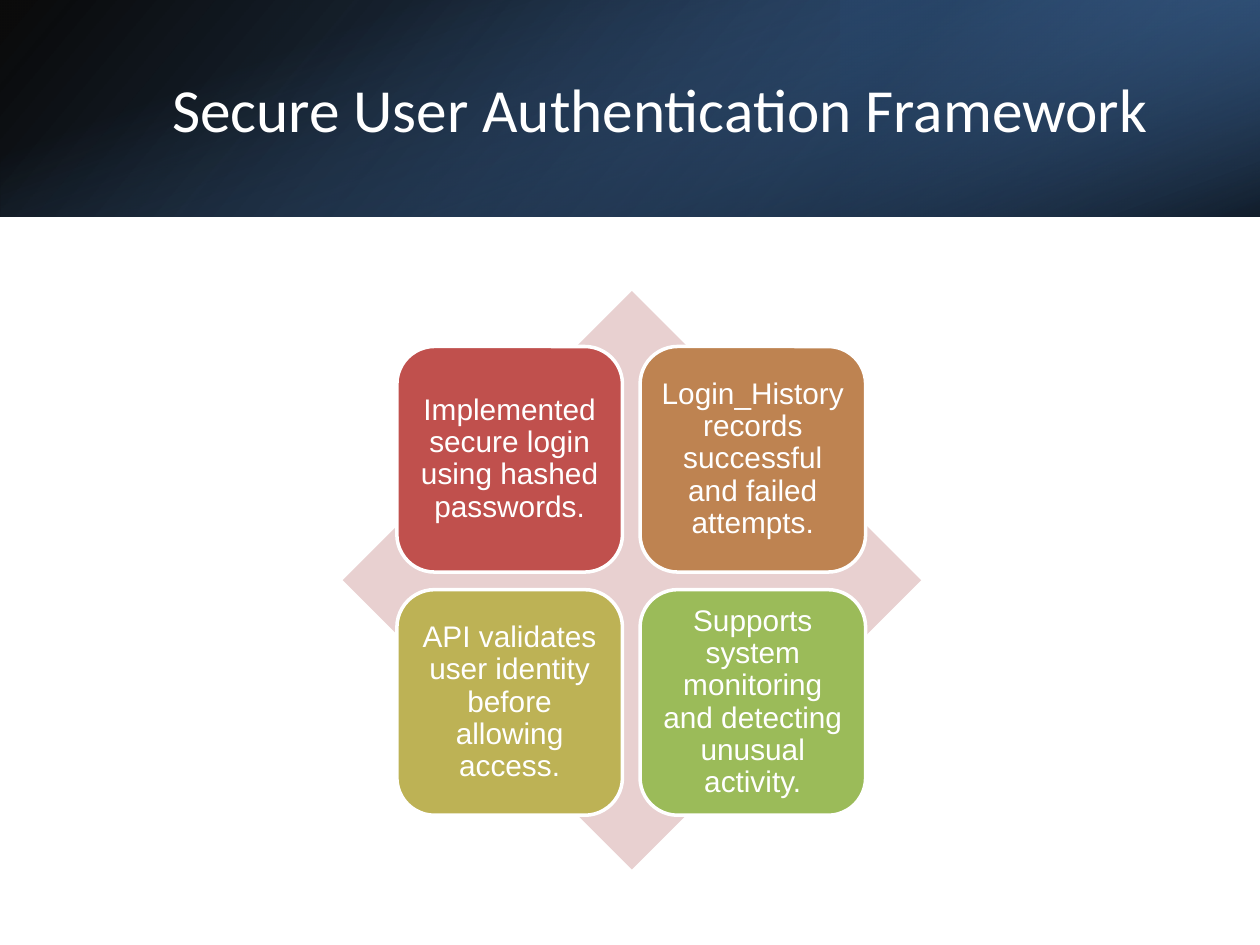
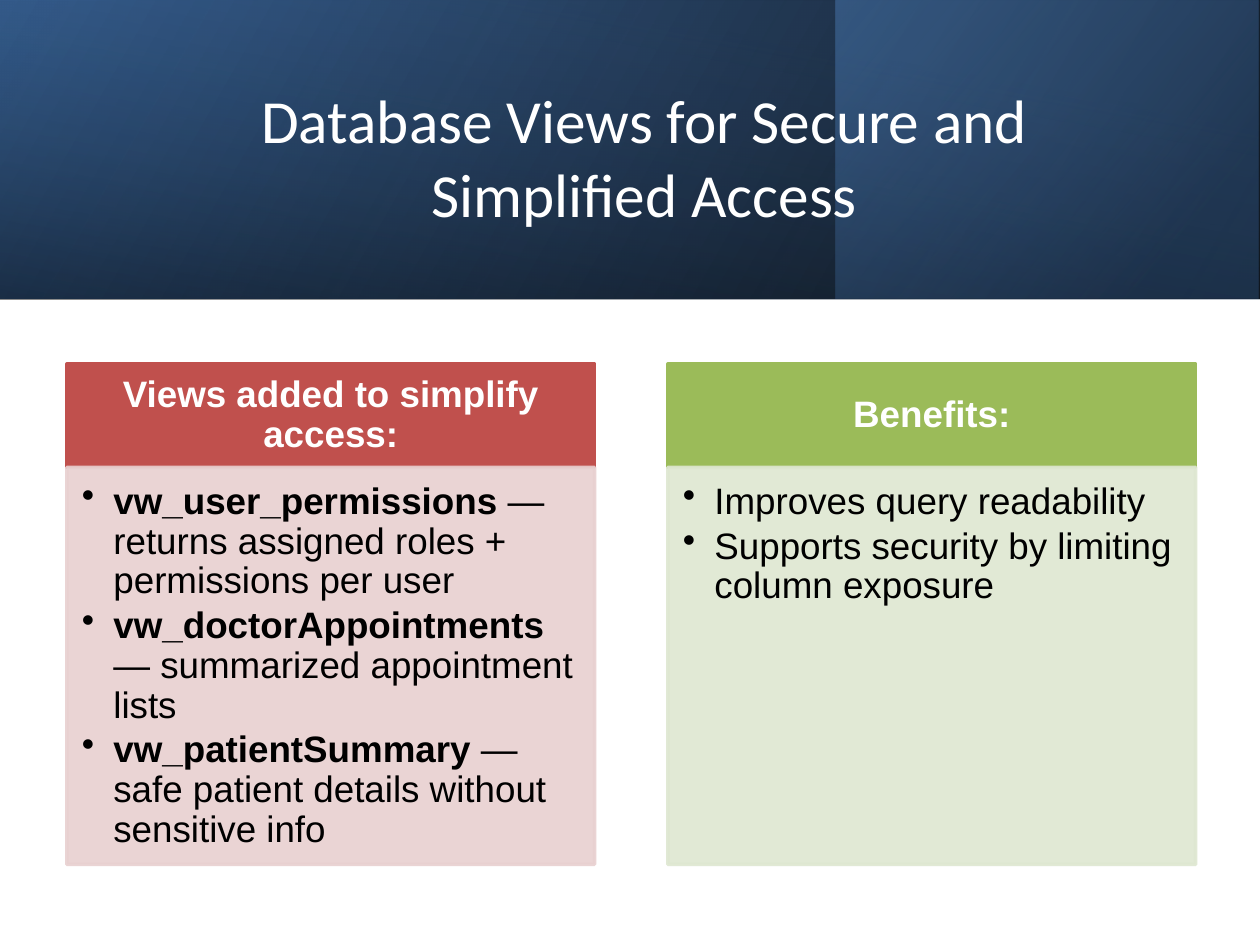
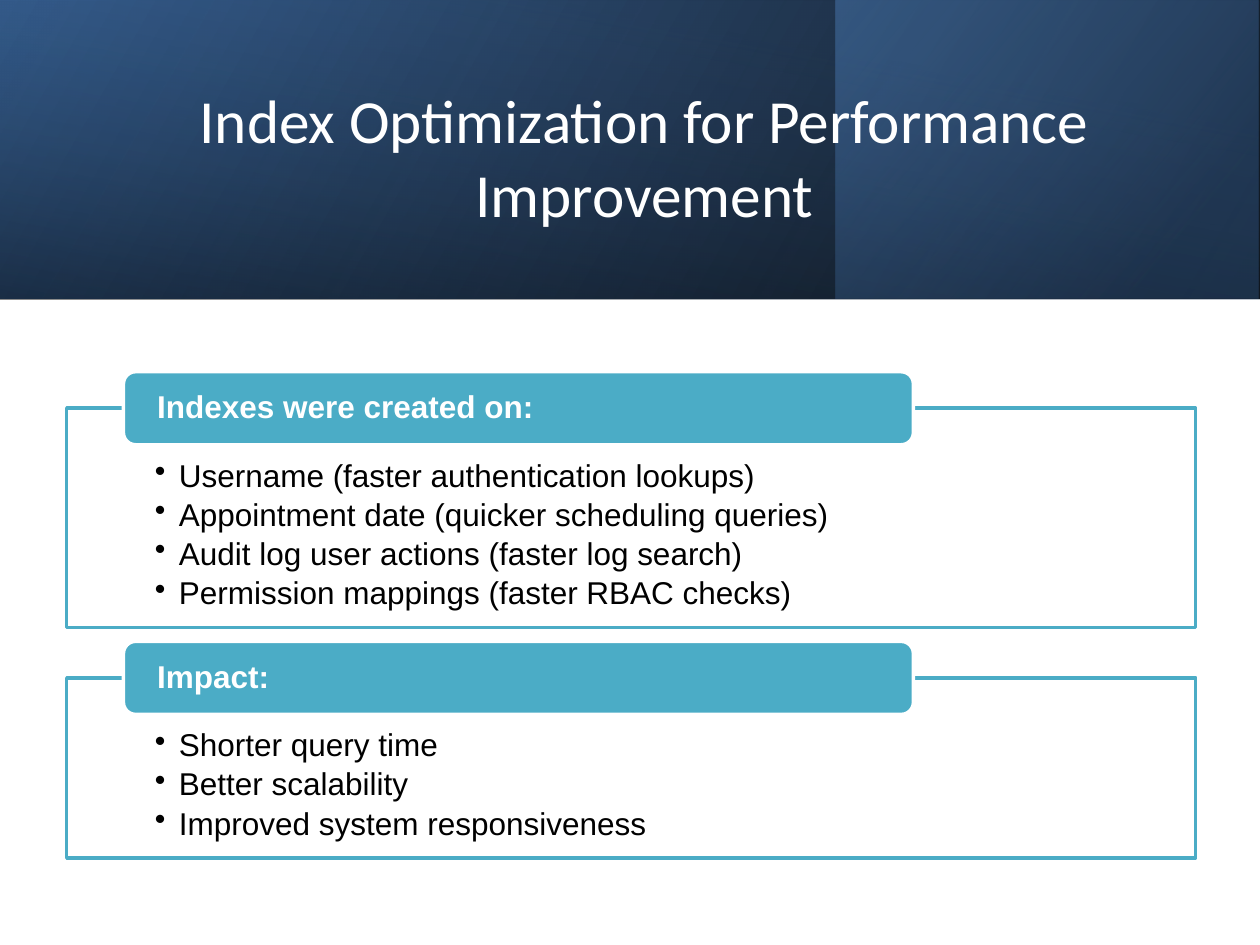
import pptx
import pptx.util
import pptx.dml.color
import pptx.enum.shapes
import pptx.enum.text
import pptx.oxml.ns
import lxml.etree

Inches, Pt = pptx.util.Inches, pptx.util.Pt
RGB = pptx.dml.color.RGBColor
SHAPE = pptx.enum.shapes.MSO_SHAPE
ANCHOR = pptx.enum.text.MSO_ANCHOR
ALIGN = pptx.enum.text.PP_ALIGN
qn = pptx.oxml.ns.qn

# Colours
WHITE, BLACK = RGB(255, 255, 255), RGB(0, 0, 0)
NAVY, STEEL, SKY = RGB(0x25, 0x40, 0x61), RGB(0x37, 0x60, 0x92), RGB(0x4F, 0x81, 0xBD)
RED, GREEN, TEAL = RGB(0xC0, 0x50, 0x4D), RGB(0x9B, 0xBB, 0x59), RGB(0x4B, 0xAC, 0xC6)
ORANGE, OLIVE = RGB(0xBE, 0x83, 0x51), RGB(0xBD, 0xB2, 0x55)
PINK, PALE = RGB(0xE8, 0xD0, 0xD0), RGB(0xDE, 0xE7, 0xD1)

# Header bands: place, turn, flip, angle, two stops of (position, colour, opacity)
LOW_BANDS = [
    ((0, 0, 10, 1.72), 0, True, 140, ((0, BLACK, 96), (100, STEEL, 100))),
    ((6.67, 0, 3.33, 1.72), 180, True, 320, ((19, NAVY, 68), (100, SKY, 79))),
    ((4.14, -4.14, 1.72, 10), 90, False, 340, ((23, SKY, 0), (99, BLACK, 74))),
]
TALL_BANDS = [
    ((0, 0, 10, 2.37), 0, True, 330, ((0, BLACK, 96), (100, STEEL, 100))),
    ((6.63, 0, 3.36, 2.37), 0, True, 320, ((19, NAVY, 68), (100, SKY, 48))),
    ((3.81, -3.81, 2.37, 10), 270, True, 350, ((23, STEEL, 16), (99, BLACK, 45))),
]
LOW_TITLE = (1.12, 0.38, 8.24, 0.96)
TALL_TITLE = (1.13, 0.38, 7.97, 1.72)

# Content; a paragraph is a string, or a (bold, plain) pair
TILES = [
    ("Implemented secure login using hashed passwords.", RED),
    ("Login_History records successful and failed attempts.", ORANGE),
    ("API validates user identity before allowing access.", OLIVE),
    ("Supports system monitoring and detecting unusual activity.", GREEN),
]
COLUMNS = [
    ("Views added to simplify access:", RED, PINK, [
        ("vw_user_permissions", " — returns assigned roles + permissions per user"),
        ("vw_doctorAppointments", " — summarized appointment lists"),
        ("vw_patientSummary", " — safe patient details without sensitive info"),
    ]),
    ("Benefits:", GREEN, PALE, [
        "Improves query readability",
        "Supports security by limiting column exposure",
    ]),
]
PANELS = [
    ("Indexes were created on:", 1.74, [
        "Username (faster authentication lookups)",
        "Appointment date (quicker scheduling queries)",
        "Audit log user actions (faster log search)",
        "Permission mappings (faster RBAC checks)",
    ]),
    ("Impact:", 1.43, [
        "Shorter query time",
        "Better scalability",
        "Improved system responsiveness",
    ]),
]


def place(shape, box):
    shape.left, shape.top, shape.width, shape.height = map(Inches, box)


def fade(part, *levels):
    """Set the opacity, in percent, of each colour in turn."""
    for color, level in zip(list(part.iter(qn("a:srgbClr"))), levels):
        if level < 100:
            lxml.etree.SubElement(color, qn("a:alpha")).set("val", str(level * 1000))


def draw(slide, kind, box, fill=None, line=None):
    shape = slide.shapes.add_shape(kind, *map(Inches, box))
    shape.shadow.inherit = False
    if fill is not None:
        shape.fill.solid()
        shape.fill.fore_color.rgb = fill
    if line is None:
        shape.line.fill.background()
    else:
        shape.line.color.rgb = line
        shape.line.width = Pt(2)
    return shape


def write(shape, paras, size, color=WHITE, font="Arial", bold=False, align=ALIGN.CENTER,
          anchor=ANCHOR.MIDDLE, inset=(0.1, 0.05, 0.1, 0.05), hang=0, space=0.9):
    frame = shape.text_frame
    frame.word_wrap = True
    frame.auto_size = pptx.enum.text.MSO_AUTO_SIZE.NONE
    frame.vertical_anchor = anchor
    (frame.margin_left, frame.margin_top,
     frame.margin_right, frame.margin_bottom) = map(Inches, inset)
    for i, text in enumerate(paras):
        para = frame.add_paragraph() if i else frame.paragraphs[0]
        if hang:
            props = para._p.get_or_add_pPr()
            props.set("marL", str(Inches(hang)))
            props.set("indent", str(-Inches(hang)))
            lxml.etree.SubElement(props, qn("a:buChar")).set("char", "•")
            para.space_after = Pt(3)
        para.alignment = align
        para.line_spacing = space
        parts = [(text, bold)] if isinstance(text, str) else zip(text, (True, False))
        for words, heavy in parts:
            run = para.add_run()
            run.text = words
            run.font.name, run.font.size, run.font.bold = font, Pt(size), heavy
            run.font.color.rgb = color


def start(deck, title, box, bands):
    """Add a slide with its header bands, and the title above them."""
    slide = deck.slides.add_slide(deck.slide_layouts[5])
    for area, turn, flip, angle, stops in bands:
        band = draw(slide, SHAPE.RECTANGLE, area)
        band.rotation = turn
        if flip:
            band.element.spPr.xfrm.set("flipH", "1")
        band.fill.gradient()
        band.fill.gradient_angle = 360 - angle
        for stop, (spot, color, level) in zip(band.fill.gradient_stops, stops):
            stop.position = spot / 100
            stop.color.rgb = color
        fade(band.element.spPr, *(level for spot, color, level in stops))
    head = slide.shapes.title
    place(head, box)
    write(head, [title], 35, font="Calibri", space=1.0)
    slide.shapes.element.append(head.element)
    return slide


def main():
    deck = pptx.Presentation()
    deck.slide_width, deck.slide_height = Inches(10), Inches(7.5)

    # Four tiles on a diamond
    slide = start(deck, "Secure User Authentication Framework", LOW_TITLE, LOW_BANDS)
    draw(slide, SHAPE.DIAMOND, (2.72, 2.31, 4.59, 4.59), PINK)
    side, step = 1.79, 1.93
    for i, (text, color) in enumerate(TILES):
        row, col = divmod(i, 2)
        box = (3.15 + col * step, 2.75 + row * step, side, side)
        tile = draw(slide, SHAPE.ROUNDED_RECTANGLE, box, color, WHITE)
        write(tile, [text], 17, inset=(0.07,) * 4)

    # Two headed columns
    slide = start(deck, "Database Views for Secure and Simplified Access", TALL_TITLE, TALL_BANDS)
    top, width, high, deep = 2.89, 4.19, 0.82, 3.15
    for i, (label, color, tint, items) in enumerate(COLUMNS):
        left = 0.53 + i * 4.77
        head = draw(slide, SHAPE.RECTANGLE, (left, top, width, high), color, color)
        write(head, [label], 21, bold=True, inset=(0.16, 0.09, 0.16, 0.09))
        body = draw(slide, SHAPE.RECTANGLE, (left, top + high, width, deep), tint, tint)
        fade(body.element.spPr, 90, 90)
        write(body, items, 21, BLACK, align=ALIGN.LEFT, anchor=ANCHOR.TOP,
              inset=(0.12, 0.12, 0.16, 0.18), hang=0.25)

    # Stacked panels, each with a tab on its top edge
    slide = start(deck, "Index Optimization for Performance Improvement", TALL_TITLE, TALL_BANDS)
    top, gap = 3.24, 0.4
    for label, deep, items in PANELS:
        panel = draw(slide, SHAPE.RECTANGLE, (0.53, top, 8.96, deep), WHITE, TEAL)
        fade(panel.element.spPr, 90)
        write(panel, items, 18, BLACK, align=ALIGN.LEFT, anchor=ANCHOR.TOP,
              inset=(0.7, 0.41, 0.7, 0.14), hang=0.19)
        tab = draw(slide, SHAPE.ROUNDED_RECTANGLE, (0.98, top - 0.29, 6.27, 0.58), TEAL, WHITE)
        write(tab, [label], 18, bold=True, align=ALIGN.LEFT, inset=(0.24, 0, 0.24, 0))
        top += deep + gap

    deck.save("out.pptx")


if __name__ == "__main__":
    main()
